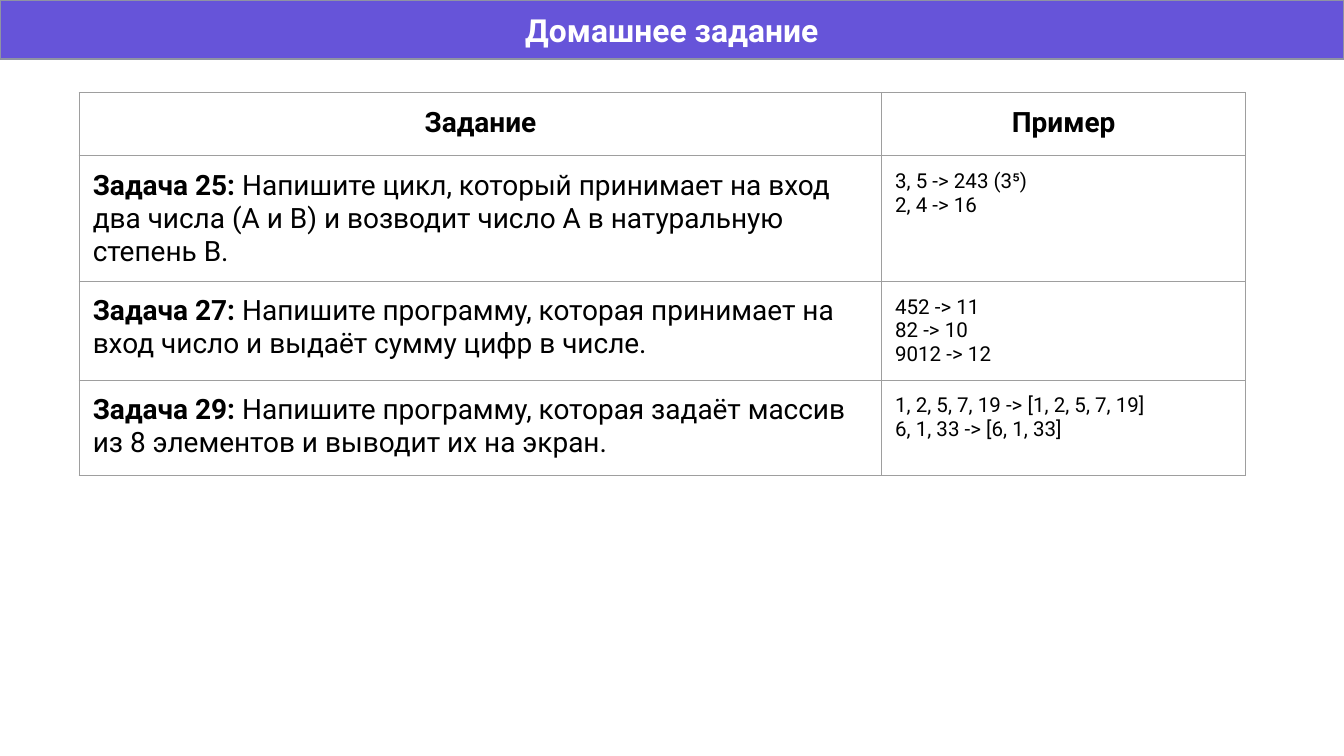
from lxml import etree
from pptx import Presentation
from pptx.dml.color import RGBColor
from pptx.enum.shapes import MSO_SHAPE
from pptx.enum.text import MSO_ANCHOR, PP_ALIGN
from pptx.oxml.ns import qn
from pptx.util import Inches, Pt

PURPLE = RGBColor(0x66, 0x54, 0xD9)
BANNER_LINE = RGBColor(0x8F, 0x93, 0xA3)
GRID = RGBColor(0x9E, 0x9E, 0x9E)
WHITE = RGBColor(0xFF, 0xFF, 0xFF)
BLACK = RGBColor(0, 0, 0)

FONT = "Roboto"
INSET = Inches(0.1)
SLIDE_WIDTH = Inches(10)
SLIDE_HEIGHT = SLIDE_WIDTH * 9 // 16
COL_WIDTHS = [5.97, 2.71]
ROW_HEIGHTS = [0.47, 0.93, 0.73, 0.71]

TASKS = [
    ("Задача 25:",
     "Напишите цикл, который принимает на вход два числа (A и B) "
     "и возводит число A в натуральную степень B.",
     ["3, 5 -> 243 (3⁵)", "2, 4 -> 16"]),
    ("Задача 27:",
     "Напишите программу, которая принимает на вход число "
     "и выдаёт сумму цифр в числе.",
     ["452 -> 11", "82 -> 10", "9012 -> 12"]),
    ("Задача 29:",
     "Напишите программу, которая задаёт массив из 8 элементов "
     "и выводит их на экран.",
     ["1, 2, 5, 7, 19 -> [1, 2, 5, 7, 19]", "6, 1, 33 -> [6, 1, 33]"]),
]


def add_run(p, text, size, bold=False, color=BLACK):
    """Add one formatted run to a paragraph."""
    r = p.add_run()
    r.text = text
    r.font.name = FONT
    r.font.size = Pt(size)
    r.font.bold = bold
    r.font.color.rgb = color


def set_insets(box):
    """Give a text frame or a cell equal margins."""
    box.margin_left = box.margin_right = INSET
    box.margin_top = box.margin_bottom = INSET


def add_banner(s, text):
    """Draw the title bar across the top of the slide."""
    sp = s.shapes.add_shape(MSO_SHAPE.RECTANGLE, 0, 0, SLIDE_WIDTH, Inches(0.44))
    sp.shadow.inherit = False
    sp.fill.solid()
    sp.fill.fore_color.rgb = PURPLE
    sp.line.color.rgb = BANNER_LINE
    sp.line.width = Pt(0.75)
    tf = sp.text_frame
    tf.word_wrap = True
    tf.vertical_anchor = MSO_ANCHOR.MIDDLE
    set_insets(tf)
    p = tf.paragraphs[0]
    p.alignment = PP_ALIGN.CENTER
    add_run(p, text, 17, True, WHITE)


def style_cell(cell):
    """Set margins, thin borders and an empty fill."""
    set_insets(cell)
    tc_pr = cell._tc.get_or_add_tcPr()
    for side in ("a:lnL", "a:lnR", "a:lnT", "a:lnB"):
        ln = etree.SubElement(tc_pr, qn(side), w=str(Pt(0.75)))
        fill = etree.SubElement(ln, qn("a:solidFill"))
        etree.SubElement(fill, qn("a:srgbClr"), val=str(GRID))
    cell.fill.background()


def fill_header(cell, text):
    """Write a centred column heading."""
    p = cell.text_frame.paragraphs[0]
    p.alignment = PP_ALIGN.CENTER
    add_run(p, text, 15, True)


def fill_task(cell, label, text):
    """Write a bold task label followed by its wording."""
    p = cell.text_frame.paragraphs[0]
    add_run(p, label + " ", 15, True)
    add_run(p, text, 15)


def fill_examples(cell, lines):
    """Write one example per paragraph."""
    tf = cell.text_frame
    for i, line in enumerate(lines):
        p = tf.add_paragraph() if i else tf.paragraphs[0]
        add_run(p, line, 11)


def add_task_table(s):
    """Build the table of tasks and examples."""
    frame = s.shapes.add_table(
        len(ROW_HEIGHTS), len(COL_WIDTHS), Inches(0.59), Inches(0.69),
        Inches(sum(COL_WIDTHS)), Inches(sum(ROW_HEIGHTS)))
    table = frame.table
    table.first_row = table.horz_banding = False
    for col, width in zip(table.columns, COL_WIDTHS):
        col.width = Inches(width)
    for row, height in zip(table.rows, ROW_HEIGHTS):
        row.height = Inches(height)
    for cell in table.iter_cells():
        style_cell(cell)
    for i, heading in enumerate(("Задание", "Пример")):
        fill_header(table.cell(0, i), heading)
    for i, (label, text, examples) in enumerate(TASKS, 1):
        fill_task(table.cell(i, 0), label, text)
        fill_examples(table.cell(i, 1), examples)


def main():
    """Create the homework slide."""
    prs = Presentation()
    prs.slide_width, prs.slide_height = SLIDE_WIDTH, SLIDE_HEIGHT
    s = prs.slides.add_slide(prs.slide_layouts[6])
    add_banner(s, "Домашнее задание")
    add_task_table(s)
    prs.save("out.pptx")


main()
